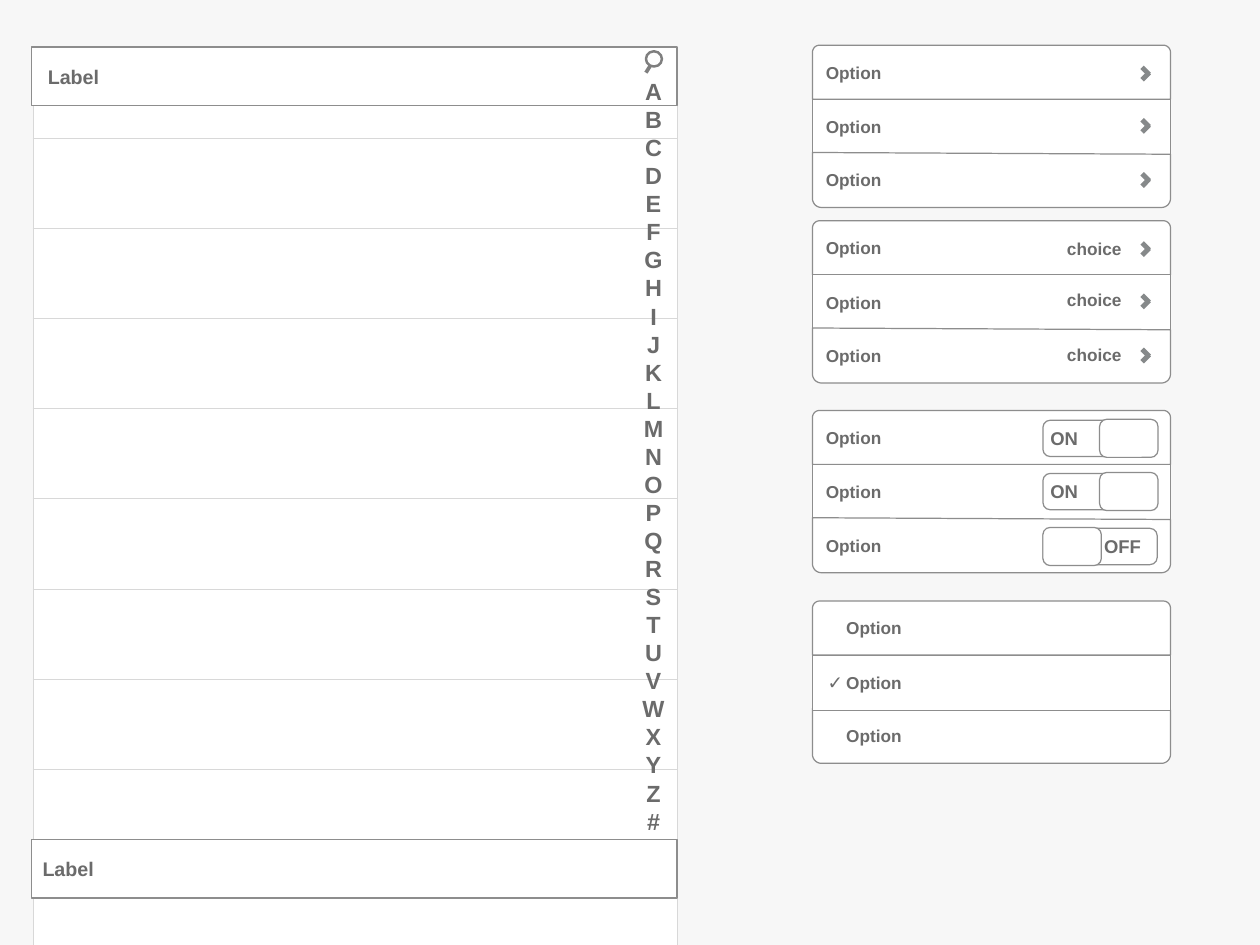
from dataclasses import dataclass
from math import cos, radians, sin

from lxml.etree import SubElement
from pptx import Presentation
from pptx.dml.color import RGBColor as Rgb
from pptx.enum.shapes import MSO_CONNECTOR as Connector, MSO_SHAPE as Preset
from pptx.enum.text import MSO_ANCHOR as Anchor, PP_ALIGN as Align
from pptx.oxml.ns import qn
from pptx.shapes.autoshape import Shape
from pptx.slide import Slide
from pptx.util import Inches, Pt

COLORS = {
    "page": "F7F7F7",
    "white": "FFFFFF",
    "outline": "8D8D8D",
    "text": "6B6B6B",
    "chevron": "86898A",
    "lens": "7F7F7F",
    "grid": "D8D8D8",
}
FONT = {"name": "Arial", "bold": True}
LETTERS = "ABCDEFGHIJKLMNOPQRSTUVWXYZ#"
PANEL_LEFT, PANEL_WIDTH = 9.17, 4.04


@dataclass(frozen=True)
class RowStyle:
    offset: float
    height: float
    top_radius: float = 0
    bottom_radius: float = 0
    skew: float = 0
    chevron: float = 0.24
    choice: float = 0.18
    toggle: float = 0.11


@dataclass(frozen=True)
class Panel:
    top: float
    extras: tuple[str, str, str]
    order: tuple[int, int, int] = (0, 1, 2)
    indent: float = 0.15


@dataclass(frozen=True)
class LabelBar:
    top: float
    indent: float


ROWS = (
    RowStyle(0, 0.61, top_radius=0.08, chevron=0.25, choice=0.19),
    RowStyle(0.61, 0.62, chevron=0.23, choice=0.16, toggle=0.1),
    RowStyle(1.21, 0.62, bottom_radius=0.1, skew=0.02, toggle=0.12),
)
PANELS = (
    Panel(0.51, ("chevron",) * 3),
    Panel(2.49, ("choice",) * 3),
    Panel(4.63, ("ON", "ON", "OFF")),
    Panel(6.78, ("", "check", ""), order=(0, 2, 1), indent=0.38),
)
BARS = (LabelBar(0.53, 0.18), LabelBar(9.47, 0.12))


def color(name: str) -> Rgb:
    """Return a named colour."""
    return Rgb.from_string(COLORS[name])


def write(box: Shape, lines: str | list[str], size: float, align: Align = Align.LEFT,
          left: float = 0, right: float = 0, top: float = 0, anchor: Anchor = Anchor.MIDDLE,
          wrap: bool = True, spacing: Pt | None = None) -> None:
    """Write one paragraph per item into a box."""
    frame = box.text_frame
    layout = {"margin_left": Inches(left), "margin_right": Inches(right),
              "margin_top": Inches(top), "margin_bottom": Inches(top),
              "vertical_anchor": anchor, "word_wrap": wrap}
    for key, value in layout.items():
        setattr(frame, key, value)
    for index, line in enumerate([lines] if isinstance(lines, str) else lines):
        para = frame.add_paragraph() if index else frame.paragraphs[0]
        para.alignment = align
        para.line_spacing = spacing
        span = para.add_run()
        span.text = line
        for key, value in {**FONT, "size": Pt(size)}.items():
            setattr(span.font, key, value)
        span.font.color.rgb = color("text")


def paint(shape: Shape, fill: str = "white", line: str = "outline", width: float = 1) -> None:
    """Set fill and line, where an empty name means none."""
    shape.shadow.inherit = False
    for part, name in ((shape.fill, fill), (shape.line.fill, line)):
        if name:
            part.solid()
            part.fore_color.rgb = color(name)
        else:
            part.background()
    if line:
        shape.line.width = Pt(width)


def add_box(page: Slide, preset: Preset, left: float, top: float, width: float,
            height: float, radius: float | None = None) -> Shape:
    """Add a preset shape with the usual paint."""
    box = page.shapes.add_shape(preset, Inches(left), Inches(top), Inches(width), Inches(height))
    if radius is not None:
        box.adjustments[0] = radius
    paint(box)
    return box


def add_stroke(page: Slide, start: tuple[float, float], end: tuple[float, float],
               name: str, width: float) -> None:
    """Draw a straight line without a shadow."""
    stroke = page.shapes.add_connector(Connector.STRAIGHT, *map(Inches, start + end))
    stroke.line.color.rgb = color(name)
    stroke.line.width = Pt(width)
    SubElement(stroke._element.spPr, qn("a:effectLst"))


def corner(x: float, y: float, radius: float, start: int) -> list[tuple[int, int]]:
    """Return the points of a quarter arc, or one point for a sharp corner."""
    angles = range(start, start + 91, 10) if radius else [start]
    return [(Inches(x + radius * cos(radians(angle))), Inches(y + radius * sin(radians(angle))))
            for angle in angles]


def add_row(page: Slide, style: RowStyle, top: float, indent: float) -> None:
    """Draw one option row."""
    left, right, bottom = PANEL_LEFT, PANEL_LEFT + PANEL_WIDTH, top + style.height
    upper, lower = style.top_radius, style.bottom_radius
    points = (corner(left + upper, top + upper, upper, 180)
              + corner(right - upper, top + upper + style.skew, upper, 270)
              + corner(right - lower, bottom - lower, lower, 0)
              + corner(left + lower, bottom - lower, lower, 90))
    builder = page.shapes.build_freeform(*points[0])
    builder.add_line_segments(points[1:], close=True)
    row = builder.convert_to_shape()
    paint(row)
    write(row, "Option", 14, left=indent, right=0.15)


def add_chevron(page: Slide, top: float) -> None:
    """Draw an arrow tip from two strokes."""
    add_stroke(page, (12.89, top), (12.97, top + 0.08), "chevron", 4)
    add_stroke(page, (12.89, top + 0.14), (12.97, top + 0.06), "chevron", 4)


def add_toggle(page: Slide, top: float, state: str) -> None:
    """Draw a switch with its knob on the side of its state."""
    is_on = state == "ON"
    track = add_box(page, Preset.ROUNDED_RECTANGLE, 11.77, top, 1.29, 0.41, 0.2)
    write(track, state, 15, Align.LEFT if is_on else Align.RIGHT, left=0.06, right=0.16)
    add_box(page, Preset.ROUNDED_RECTANGLE, 12.41 if is_on else 11.77, top - 0.01, 0.66, 0.43, 0.19)


def add_extra(page: Slide, style: RowStyle, top: float, extra: str) -> None:
    """Draw what stands beside the option text."""
    if extra in ("chevron", "choice"):
        add_chevron(page, top + style.chevron)
    if extra == "choice":
        box = add_box(page, Preset.RECTANGLE, 11.03, top + style.choice, 1.63, 0.24)
        paint(box, line="")
        write(box, "choice", 14, Align.RIGHT)
    elif extra in ("ON", "OFF"):
        add_toggle(page, top + style.toggle, extra)
    elif extra == "check":
        box = page.shapes.add_textbox(Inches(9.34), Inches(top + 0.18), Inches(0.13), Inches(0.25))
        write(box, "✓", 15, Align.CENTER, wrap=False)


def add_grid(page: Slide) -> None:
    """Add the empty list as a one-column table."""
    table = page.shapes.add_table(12, 1, Inches(0.37), Inches(0.54), Inches(7.27), Inches(12.2)).table
    table.first_row = table.horz_banding = False
    for cell in table.iter_cells():
        props = cell._tc.get_or_add_tcPr()
        for side in ("a:lnL", "a:lnR", "a:lnT", "a:lnB"):
            border = SubElement(props, qn(side), w=str(Pt(0.11)))
            SubElement(SubElement(border, qn("a:solidFill")), qn("a:srgbClr"), val=COLORS["grid"])
        cell.fill.solid()
        cell.fill.fore_color.rgb = color("white")


def add_index(page: Slide) -> None:
    """Add the letter index with its search icon."""
    box = page.shapes.add_textbox(Inches(7.2), Inches(0.83), Inches(0.35), Inches(9.31))
    write(box, list(LETTERS), 19, Align.CENTER, 0.04, 0.04, 0.04, Anchor.TOP, spacing=Pt(22.8))
    lens = add_box(page, Preset.ROUNDED_RECTANGLE, 7.29, 0.58, 0.18, 0.17, 0.5)
    paint(lens, "", "lens", 2)
    add_stroke(page, (7.34, 0.74), (7.29, 0.82), "lens", 3)


def main() -> None:
    """Build the slide and save it."""
    deck = Presentation()
    deck.slide_width, deck.slide_height = Inches(14.22), Inches(10.66)
    page = deck.slides.add_slide(deck.slide_layouts[6])
    page.background.fill.solid()
    page.background.fill.fore_color.rgb = color("page")
    for panel in PANELS:
        for index in panel.order:
            style = ROWS[index]
            top = panel.top + style.offset
            add_row(page, style, top, panel.indent)
            add_extra(page, style, top, panel.extras[index])
    add_grid(page)
    for bar in BARS:
        box = add_box(page, Preset.RECTANGLE, 0.36, bar.top, 7.28, 0.66)
        write(box, "Label", 16, left=bar.indent)
    add_index(page)
    deck.save("out.pptx")


if __name__ == "__main__":
    main()
